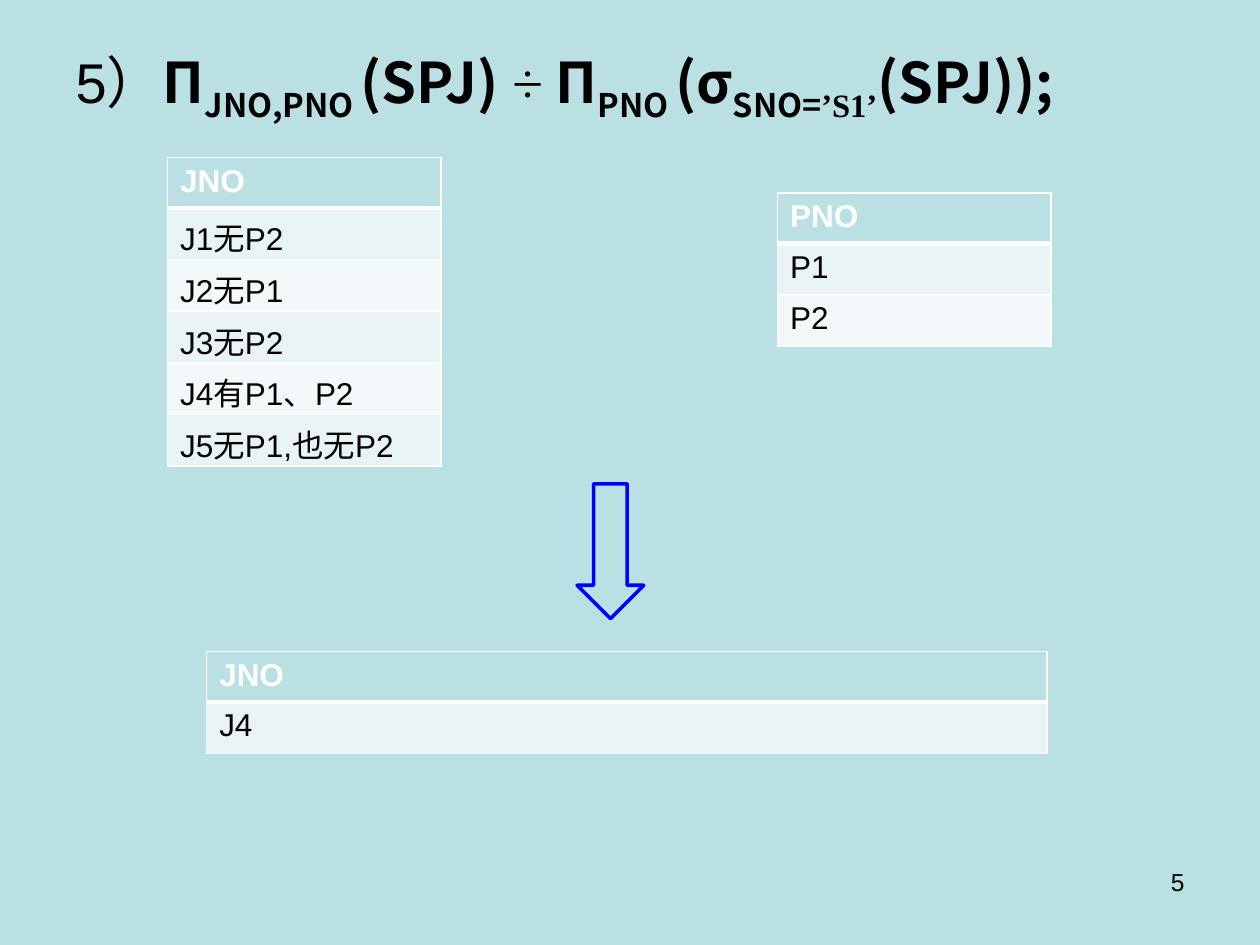
from lxml import etree
from pptx import Presentation
from pptx import util as u
from pptx.dml.color import RGBColor
from pptx.enum import shapes, text
from pptx.oxml.ns import qn

AQUA = RGBColor(0xBB, 0xE0, 0xE3)
MIST = RGBColor(0xE7, 0xF3, 0xF4)
PALE = RGBColor(0xF3, 0xF9, 0xFA)
WHITE = RGBColor(0xFF, 0xFF, 0xFF)
BLACK = RGBColor(0, 0, 0)
BLUE = RGBColor(0, 0, 0xFF)
SANS, HAN, SERIF = "Arial", "Noto Sans CJK SC", "Times New Roman"


def add_run(para, words, size, font=SANS, bold=False, color=BLACK):
    run = para.add_run()
    run.text = words
    run.font.size = u.Pt(size)
    run.font.name = font
    run.font.bold = bold
    run.font.color.rgb = color
    return run


def add_edge(cell, side, width, order):
    line = etree.Element(qn("a:ln" + side), w=str(u.Pt(width)))
    fill = etree.SubElement(line, qn("a:solidFill"))
    etree.SubElement(fill, qn("a:srgbClr"), val=str(WHITE))
    cell._tc.get_or_add_tcPr().insert(order, line)


deck = Presentation()
deck.slide_width, deck.slide_height = u.Inches(10), u.Inches(7.5)
slide = deck.slides.add_slide(deck.slide_layouts[1])
slide.background.fill.solid()
slide.background.fill.fore_color.rgb = AQUA
title = slide.shapes.title
title.element.getparent().remove(title.element)

body = slide.placeholders[1]
body.left, body.top = u.Inches(0.5), u.Inches(0.33)
body.width, body.height = u.Inches(9), u.Inches(0.75)
body.text_frame.auto_size = text.MSO_AUTO_SIZE.NONE
para = body.text_frame.paragraphs[0]
props = para._p.get_or_add_pPr()
props.set("marL", "0")
props.set("indent", "0")
etree.SubElement(props, qn("a:buNone"))

terms = [
    ("5）", SANS, False, False),
    ("П", HAN, True, False),
    ("JNO,PNO ", HAN, True, True),
    ("(SPJ)", HAN, True, False),
    (" ÷", SERIF, False, False),
    (" П", HAN, True, False),
    ("PNO ", HAN, True, True),
    ("(σ", HAN, True, False),
    ("SNO=", HAN, True, True),
    ("’S1’", SERIF, True, True),
    ("(SPJ));", HAN, True, False),
]
for words, font, bold, low in terms:
    run = add_run(para, words, 32, font, bold)
    if low:
        run.font._element.set("baseline", "-25000")

page = slide.shapes.add_textbox(u.Inches(7.17), u.Inches(6.83), u.Inches(2.33), u.Inches(0.52))
page.text_frame.word_wrap = True
para = page.text_frame.paragraphs[0]
para.alignment = text.PP_ALIGN.RIGHT
add_run(para, "5", 14)

tables = [
    (1.64, 5.17, 6.67, ["JNO", "J4"]),
    (6.17, 1.53, 2.17, ["PNO", "P1", "P2"]),
    (1.33, 1.25, 2.17, ["JNO", "J1无P2", "J2无P1", "J3无P2", "J4有P1、P2", "J5无P1,也无P2"]),
]
for left, top, width, rows in tables:
    high = 0.39 + 0.41 * (len(rows) - 1)
    frame = slide.shapes.add_table(
        len(rows), 1, u.Inches(left), u.Inches(top), u.Inches(width), u.Inches(high))
    table = frame.table
    for row, words in enumerate(rows):
        head = row == 0
        table.rows[row].height = u.Inches(0.39 if head else 0.41)
        cell = table.cell(row, 0)
        cell.fill.solid()
        cell.fill.fore_color.rgb = AQUA if head else MIST if row % 2 else PALE
        add_run(cell.text_frame.paragraphs[0], words, 18, bold=head,
                color=WHITE if head else BLACK)
        edges = {"L": 1, "R": 1, "T": 3 if row == 1 else 1, "B": 3 if head else 1}
        for order, (side, thick) in enumerate(edges.items()):
            add_edge(cell, side, thick, order)

arrow = slide.shapes.add_shape(
    shapes.MSO_SHAPE.DOWN_ARROW, u.Inches(4.58), u.Inches(3.84), u.Inches(0.53), u.Inches(1.07))
arrow.shadow.inherit = False
arrow.fill.solid()
arrow.fill.fore_color.rgb = AQUA
arrow.line.color.rgb = BLUE
arrow.line.width = u.Pt(2)

deck.save("out.pptx")
